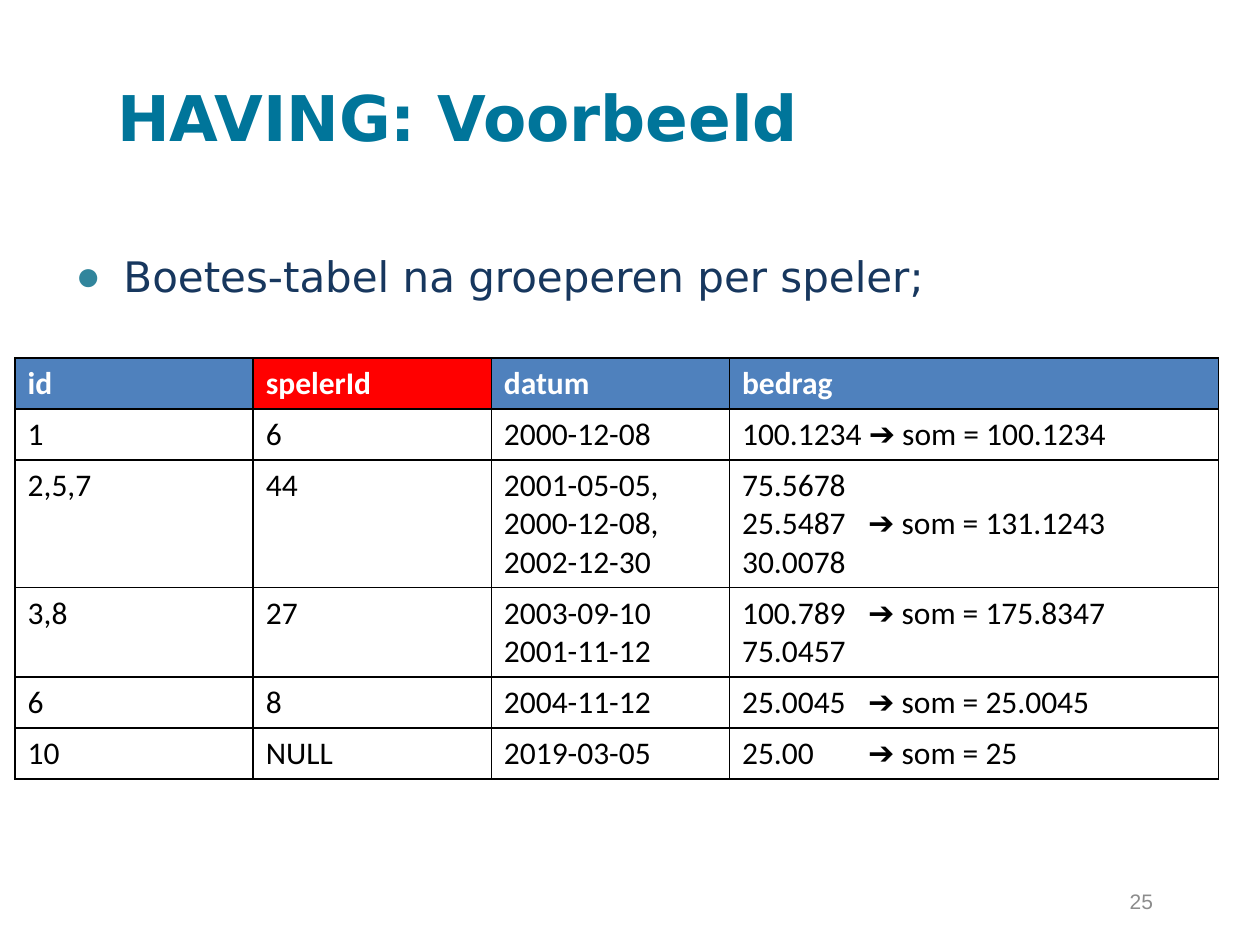
from lxml.etree import SubElement
from pptx import Presentation
from pptx.dml.color import RGBColor
from pptx.enum.text import MSO_ANCHOR, PP_ALIGN
from pptx.oxml.ns import qn
from pptx.util import Inches, Pt

TEAL = RGBColor(0x00, 0x75, 0x9A)
BULLET_TEAL = RGBColor(0x31, 0x85, 0x9C)
NAVY = RGBColor(0x17, 0x37, 0x5E)
GREY = RGBColor(0x8C, 0x8C, 0x8C)
BLUE = RGBColor(0x4F, 0x81, 0xBD)
RED = RGBColor(0xFF, 0x00, 0x00)
WHITE = RGBColor(0xFF, 0xFF, 0xFF)
BLACK = RGBColor(0x00, 0x00, 0x00)

HEADERS = ["id", "spelerId", "datum", "bedrag"]
GROUPS = [
    ["1", "6", "2000-12-08", "100.1234 ➔ som = 100.1234"],
    ["2,5,7", "44", "2001-05-05,\n2000-12-08,\n2002-12-30",
     "75.5678\n25.5487\t➔ som = 131.1243\n30.0078"],
    ["3,8", "27", "2003-09-10\n2001-11-12", "100.789\t➔ som = 175.8347\n75.0457"],
    ["6", "8", "2004-11-12", "25.0045\t➔ som = 25.0045"],
    ["10", "NULL", "2019-03-05", "25.00\t➔ som = 25"],
]
COLUMN_WIDTHS = [1.89, 1.89, 1.89, 3.88]


def set_font(paragraph, name, size, color, bold=False):
    font = paragraph.font
    font.name, font.size, font.bold = name, Pt(size), bold
    font.color.rgb = color


def add_borders(cell):
    properties = cell._tc.get_or_add_tcPr()
    for side in ("a:lnL", "a:lnR", "a:lnT", "a:lnB"):
        line = SubElement(properties, qn(side), w=str(Pt(1)))
        fill = SubElement(line, qn("a:solidFill"))
        SubElement(fill, qn("a:srgbClr"), val=str(BLACK))


prs = Presentation()
prs.slide_width, prs.slide_height = Inches(10), Inches(7.5)
slide = prs.slides.add_slide(prs.slide_layouts[1])

title = slide.shapes.title
title.left, title.top = Inches(0.83), Inches(0.3)
title.width, title.height = Inches(8.67), Inches(1.25)
title.text_frame.text = "HAVING: Voorbeeld"
title.text_frame.vertical_anchor = MSO_ANCHOR.MIDDLE
heading = title.text_frame.paragraphs[0]
heading.alignment = PP_ALIGN.LEFT
set_font(heading, "DejaVu Sans", 36, TEAL, bold=True)

body = slide.placeholders[1]
body.left, body.top = Inches(0.5), Inches(1.94)
body.width, body.height = Inches(9), Inches(4.33)
body.text_frame.text = "Boetes-tabel na groeperen per speler;"
point = body.text_frame.paragraphs[0]
point.space_before = Pt(5)
point_properties = point._p.get_or_add_pPr()
point_properties.set("marL", str(Inches(0.38)))
point_properties.set("indent", str(-Inches(0.38)))
bullet_color = SubElement(point_properties, qn("a:buClr"))
SubElement(bullet_color, qn("a:srgbClr"), val=str(BULLET_TEAL))
SubElement(point_properties, qn("a:buChar"), char="●")
set_font(point, "DejaVu Sans", 24, NAVY)

page_number = slide.shapes.add_textbox(
    Inches(6.92), Inches(6.95), Inches(2.33), Inches(0.4)).text_frame
page_number.word_wrap = True
page_number.vertical_anchor = MSO_ANCHOR.MIDDLE
page_number.text = "25"
page_number.paragraphs[0].alignment = PP_ALIGN.RIGHT
set_font(page_number.paragraphs[0], "Arial", 12, GREY)

rows = [HEADERS] + GROUPS
fines = slide.shapes.add_table(
    len(rows), len(HEADERS), Inches(0.12), Inches(2.84),
    Inches(sum(COLUMN_WIDTHS)), Inches(3.32)).table
fines.horz_banding = False
for column, width in zip(fines.columns, COLUMN_WIDTHS):
    column.width = Inches(width)

for r, values in enumerate(rows):
    line_count = max(value.count("\n") + 1 for value in values)
    fines.rows[r].height = Inches(0.1 + 0.305 * line_count)
    for c, value in enumerate(values):
        cell = fines.cell(r, c)
        add_borders(cell)
        if r == 0:
            cell.fill.solid()
            cell.fill.fore_color.rgb = RED if value == "spelerId" else BLUE
        else:
            cell.fill.background()
        cell.text_frame.text = value
        for paragraph in cell.text_frame.paragraphs:
            if "\t" in paragraph.text:
                tabs = SubElement(paragraph._p.get_or_add_pPr(), qn("a:tabLst"))
                SubElement(tabs, qn("a:tab"), pos=str(Inches(1)), algn="l")
            set_font(paragraph, "Calibri", 18, WHITE if r == 0 else BLACK, bold=r == 0)

prs.save("out.pptx")
